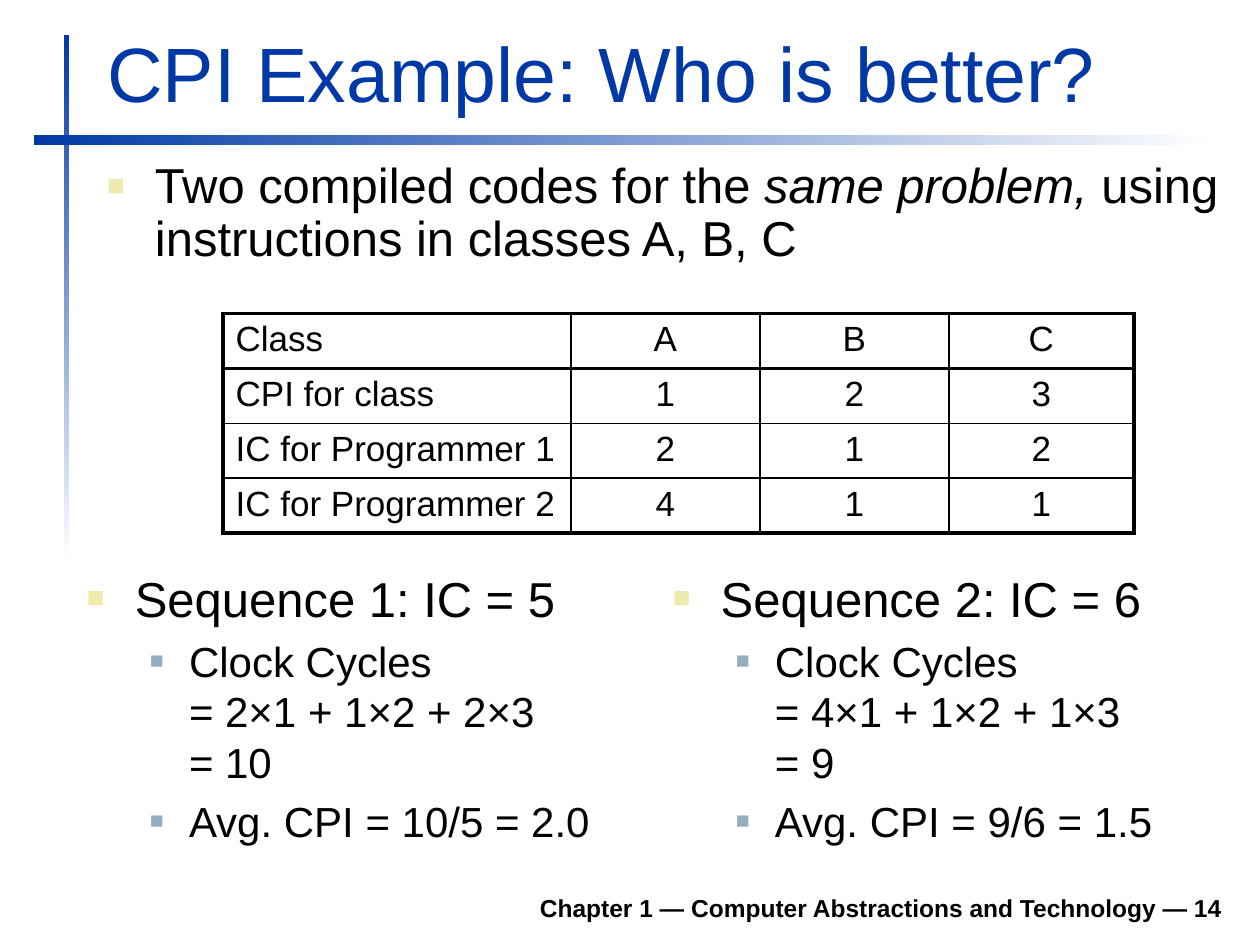
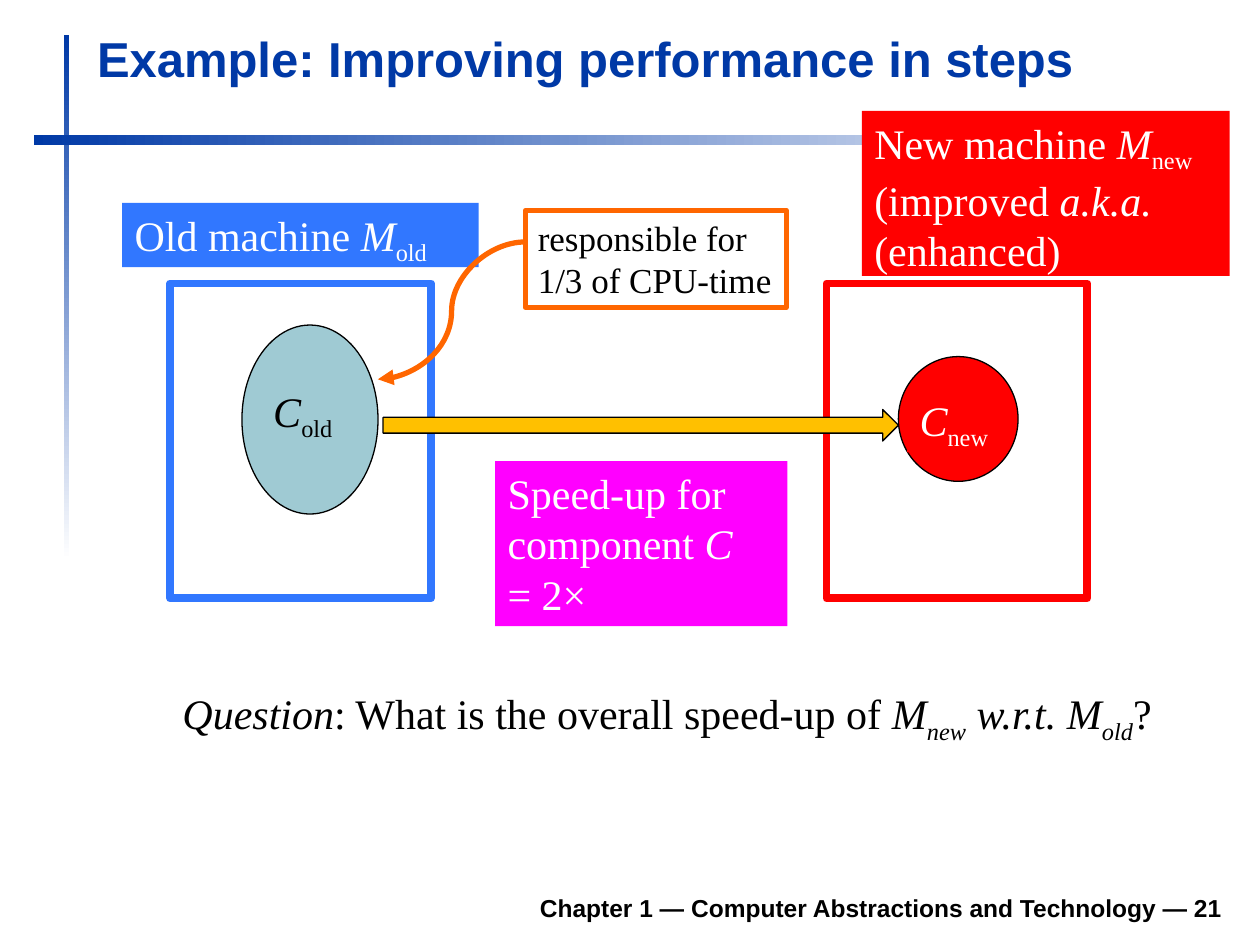
import lxml.etree
import pptx
import pptx.dml.color
import pptx.enum.dml
import pptx.enum.shapes
import pptx.enum.text
import pptx.oxml.ns
import pptx.util

Inches, Pt = pptx.util.Inches, pptx.util.Pt
RGBColor = pptx.dml.color.RGBColor
SHAPE = pptx.enum.shapes.MSO_SHAPE
ALIGN = pptx.enum.text.PP_ALIGN
ANCHOR = pptx.enum.text.MSO_ANCHOR

NAVY = RGBColor(0x00, 0x39, 0xA6)
WHITE = RGBColor(0xFF, 0xFF, 0xFF)
BLACK = RGBColor(0x00, 0x00, 0x00)
CREAM = RGBColor(0xEC, 0xEA, 0xAC)
STEEL = RGBColor(0x91, 0xAF, 0xBF)
BLUE = RGBColor(0x31, 0x77, 0xFF)
RED = RGBColor(0xFF, 0x00, 0x00)
TEAL = RGBColor(0x9F, 0xCA, 0xD3)
GOLD = RGBColor(0xFF, 0xC0, 0x00)
MAGENTA = RGBColor(0xFF, 0x00, 0xFF)
ORANGE = RGBColor(0xFF, 0x66, 0x00)

SANS, SERIF = "Arial", "Times New Roman"
COMPARISON_LAYOUT, TITLE_LAYOUT = 4, 5
FOOTER = "Chapter 1 — Computer Abstractions and Technology — {}"
BANDS = [((0.51, 0.28, 0.04, 4.17), 270), ((0.27, 1.07, 9.37, 0.08), 0)]
LEVELS = [
    dict(size=28, indent=0.38, hang=0.38, bullet=CREAM, percent=60),
    dict(size=24, indent=0.81, hang=0.31, bullet=STEEL, percent=55),
]

CPI_TITLE = "CPI Example: Who is better?"
CPI_INTRO = [(0, [("Two compiled codes for the ", ""), ("same problem, ", "i"),
                  ("using instructions in classes A, B, C", "")])]
CPI_ROWS = [
    ("Class", "A", "B", "C"),
    ("CPI for class", "1", "2", "3"),
    ("IC for Programmer 1", "2", "1", "2"),
    ("IC for Programmer 2", "4", "1", "1"),
]
CPI_COLUMNS = (2.76, 1.5, 1.5, 1.47)
SEQUENCES = [
    [(0, "Sequence 1: IC = 5"),
     (1, "Clock Cycles\n= 2×1 + 1×2 + 2×3\n= 10"),
     (1, "Avg. CPI = 10/5 = 2.0")],
    [(0, "Sequence 2: IC = 6"),
     (1, "Clock Cycles\n= 4×1 + 1×2 + 1×3\n= 9"),
     (1, "Avg. CPI = 9/6 = 1.5")],
]

STEPS_TITLE = "Example: Improving performance in steps"
OLD_MACHINE = [("Old machine ", ""), ("M", "i"), ("old", "s")]
NEW_MACHINE = [("New machine ", ""), ("M", "i"), ("new", "s"), (" (improved ", ""),
               ("a.k.a.", "i"), (" (enhanced)", "")]
SPEED_UP = [[("Speed-up for component ", ""), ("C", "i")], "= 2×"]
OLD_COMPONENT = [("C", "i"), ("old", "s")]
NEW_COMPONENT = [("C", "i"), ("new", "s")]
RESPONSIBLE = "responsible for 1/3 of CPU-time"
QUESTION = [("Question", "i"), (": What is the overall speed-up of ", ""), ("M", "i"),
            ("new", "is"), (" w.r.t. M", "i"), ("old", "is"), ("?", "")]
STEPS = [
    dict(box=(1.35, 2.25, 2.07, 2.5), line=BLUE, width=4.5),
    dict(box=(0.97, 1.61, 2.83, 0.51), fill=BLUE, text=[OLD_MACHINE]),
    dict(box=(6.56, 2.25, 2.07, 2.5), line=RED, width=4.5),
    dict(box=(6.84, 0.88, 2.92, 1.31), fill=RED, text=[NEW_MACHINE]),
    dict(box=(1.92, 2.58, 1.08, 1.5), kind=SHAPE.OVAL, fill=TEAL, line=BLACK),
    dict(box=(7.13, 2.83, 0.95, 0.99), kind=SHAPE.OVAL, fill=RED, line=BLACK),
    dict(box=(3.04, 3.25, 4.09, 0.25), kind=SHAPE.RIGHT_ARROW, fill=GOLD, line=BLACK),
    dict(box=(3.93, 3.66, 2.32, 1.31), fill=MAGENTA, text=SPEED_UP),
    dict(box=(2.07, 3.01, 0.78, 0.51), text=[OLD_COMPONENT], color=BLACK),
    dict(box=(7.2, 3.08, 0.8, 0.51), fill=RED, text=[NEW_COMPONENT]),
    dict(box=(4.17, 1.67, 2.07, 0.77), line=ORANGE, width=3,
         text=[RESPONSIBLE], color=BLACK, size=20),
    dict(box=(1.35, 5.41, 8.17, 0.51), text=[QUESTION], color=BLACK),
]


def add_xml(parent, tag, **attributes):
    return lxml.etree.SubElement(parent, pptx.oxml.ns.qn(tag),
                                 {name: str(value) for name, value in attributes.items()})


def write(paragraph, text, size=24, font=SANS, color=BLACK, bold=False,
          align=ALIGN.LEFT, before=0):
    paragraph.alignment = align
    paragraph.space_before = Pt(before)
    for words, style in [(text, "")] if isinstance(text, str) else text:
        for number, line in enumerate(words.split("\n")):
            if number:
                paragraph.add_line_break()
            run = paragraph.add_run()
            run.text = line
            run.font.size, run.font.name = Pt(size), font
            run.font.bold, run.font.italic = bold, "i" in style
            run.font.color.rgb = color
            if "s" in style:
                run._r.get_or_add_rPr().set("baseline", "-25000")


def frame_paragraphs(shape, count, anchor=ANCHOR.TOP):
    frame = shape.text_frame
    frame.word_wrap = True
    frame.auto_size = pptx.enum.text.MSO_AUTO_SIZE.NONE
    frame.vertical_anchor = anchor
    for _ in range(count - 1):
        frame.add_paragraph()
    return frame.paragraphs


def place(shape, box):
    shape.left, shape.top, shape.width, shape.height = map(Inches, box)


def write_list(body, box, items, spacing=1.0):
    place(body, box)
    for paragraph, (depth, text) in zip(frame_paragraphs(body, len(items)), items):
        level = LEVELS[depth]
        write(paragraph, text, size=level["size"], before=level["size"] * 0.2)
        paragraph.level = depth
        paragraph.line_spacing = spacing
        properties = paragraph._p.get_or_add_pPr()
        properties.set("marL", str(Inches(level["indent"])))
        properties.set("indent", str(-Inches(level["hang"])))
        add_xml(add_xml(properties, "a:buClr"), "a:srgbClr", val=level["bullet"])
        add_xml(properties, "a:buSzPct", val=level["percent"] * 1000)
        add_xml(properties, "a:buFont", typeface=SANS)
        add_xml(properties, "a:buChar", char="■")


def add_part(slide, box, kind=SHAPE.RECTANGLE, fill=None, line=None, width=0.75,
             text=(), color=WHITE, size=24):
    part = slide.shapes.add_shape(kind, *map(Inches, box))
    part.shadow.inherit = False
    if fill is None:
        part.fill.background()
    else:
        part.fill.solid()
        part.fill.fore_color.rgb = fill
    if line is None:
        part.line.fill.background()
    else:
        part.line.color.rgb = line
        part.line.width = Pt(width)
    if text:
        for paragraph, words in zip(frame_paragraphs(part, len(text)), text):
            write(paragraph, words, size=size, font=SERIF, color=color)
    return part


def start_slide(deck, layout, number, title, title_box, **title_format):
    slide = deck.slides.add_slide(deck.slide_layouts[layout])
    for box, angle in BANDS:
        band = add_part(slide, box)
        band.fill.gradient()
        band.fill.gradient_angle = angle
        for stop, color in zip(band.fill.gradient_stops, (NAVY, WHITE)):
            stop.color.rgb = color
    place(slide.shapes.title, title_box)
    write(frame_paragraphs(slide.shapes.title, 1, ANCHOR.BOTTOM)[0], title,
          color=NAVY, **title_format)
    footer = slide.shapes.add_textbox(*map(Inches, (1.85, 6.98, 7.95, 0.39)))
    write(frame_paragraphs(footer, 1, ANCHOR.BOTTOM)[0], FOOTER.format(number),
          size=14, bold=True, align=ALIGN.RIGHT)
    return slide


def add_cpi_table(slide):
    last_row, last_column = len(CPI_ROWS) - 1, len(CPI_COLUMNS) - 1
    table = slide.shapes.add_table(len(CPI_ROWS), len(CPI_COLUMNS), Inches(1.77), Inches(2.49),
                                   Inches(sum(CPI_COLUMNS)), Inches(1.74)).table
    table.first_row = table.horz_banding = False
    for column, width in zip(table.columns, CPI_COLUMNS):
        column.width = Inches(width)
    for r, row in enumerate(CPI_ROWS):
        for c, text in enumerate(row):
            cell = table.cell(r, c)
            write(cell.text_frame.paragraphs[0], text, size=20, before=4,
                  align=ALIGN.CENTER if c else ALIGN.LEFT)
            thick = {"L": c == 0, "R": c == last_column,
                     "T": r <= 1, "B": r in (0, last_row)}
            properties = cell._tc.get_or_add_tcPr()
            for side, heavy in thick.items():
                border = add_xml(properties, "a:ln" + side, w=Pt(2.25 if heavy else 1))
                add_xml(add_xml(border, "a:solidFill"), "a:srgbClr", val=BLACK)
            cell.fill.background()


def build_cpi(deck):
    slide = start_slide(deck, COMPARISON_LAYOUT, 14, CPI_TITLE,
                        (0.75, 0.16, 9.03, 0.83), size=44)
    bodies = {body.placeholder_format.idx: body for body in slide.placeholders}
    write_list(bodies[1], (0.75, 1.23, 9.05, 1.09), CPI_INTRO, spacing=0.9)
    add_cpi_table(slide)
    for column, sequence in enumerate(SEQUENCES):
        write_list(bodies[2 + 2 * column], (0.59 + 4.65 * column, 4.46, 4.25, 2.28), sequence)
    unused = bodies[3]._element
    unused.getparent().remove(unused)


def build_steps(deck):
    slide = start_slide(deck, TITLE_LAYOUT, 21, STEPS_TITLE,
                        (0.67, 0.17, 9.03, 0.57), size=28, bold=True)
    for step in STEPS:
        add_part(slide, **step)
    pointer = slide.shapes.add_connector(pptx.enum.shapes.MSO_CONNECTOR.CURVE,
                                         *map(Inches, (4.17, 1.92, 3, 3.01)))
    pointer.line.color.rgb = ORANGE
    pointer.line.width = Pt(3)
    add_xml(pointer.line._get_or_add_ln(), "a:tailEnd", type="triangle")
    add_xml(pointer._element.spPr, "a:effectLst")


def main():
    deck = pptx.Presentation()
    deck.slide_width, deck.slide_height = Inches(10), Inches(7.5)
    build_cpi(deck)
    build_steps(deck)
    deck.save("out.pptx")


if __name__ == "__main__":
    main()
